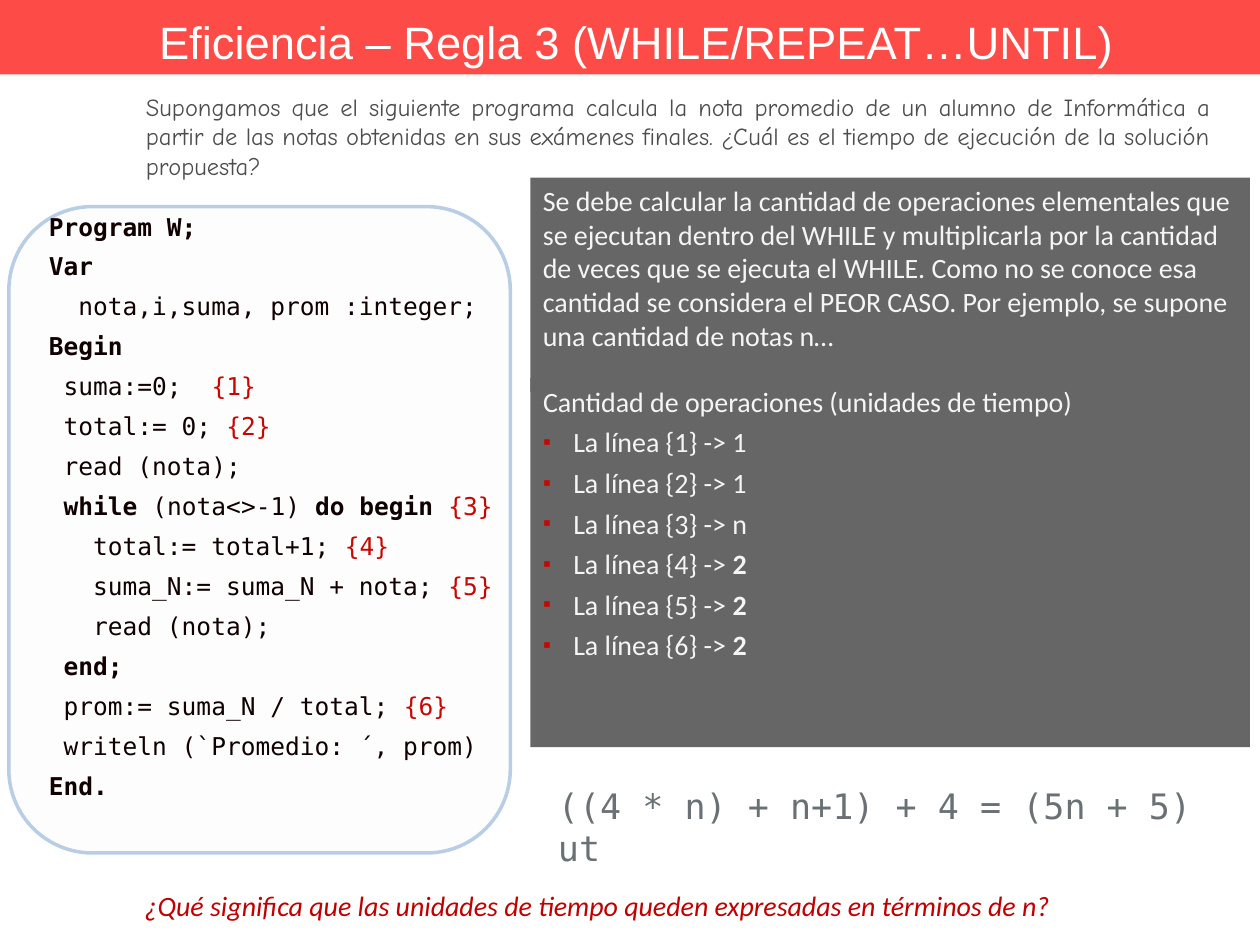
from pptx import Presentation
from pptx.dml.color import RGBColor
from pptx.enum.shapes import MSO_SHAPE as Shape
from pptx.enum.text import MSO_ANCHOR as Anchor, PP_ALIGN as Align
from pptx.util import Inches, Pt
from pptx.oxml.ns import qn
from lxml.etree import SubElement

# Content
TITLE = "Eficiencia – Regla 3 (WHILE/REPEAT…UNTIL)"
QUESTION = ("Supongamos que el siguiente programa calcula la nota promedio de un alumno "
            "de Informática a partir de las notas obtenidas en sus exámenes finales. "
            "¿Cuál es el tiempo de ejecución de la solución propuesta?")
EXPLANATION = ("Se debe calcular la cantidad de operaciones elementales que se ejecutan "
               "dentro del WHILE y multiplicarla por la cantidad de veces que se ejecuta "
               "el WHILE. Como no se conoce esa cantidad se considera el PEOR CASO. "
               "Por ejemplo, se supone una cantidad de notas n…")
COUNT_HEADING = "Cantidad de operaciones (unidades de tiempo)"
LINE_COSTS = ["1", "1", "n", "2", "2", "2"]
BOLD_COST = "2"
FORMULA = "((4 * n) + n+1) + 4 = (5n + 5) ut"
CLOSING = "¿Qué significa que las unidades de tiempo queden expresadas en términos de n?"

# Each code line is a list of (text, kind)
KEYWORD, PLAIN, MARK = "keyword", "plain", "mark"
CODE = [
    [("Program W;", KEYWORD)],
    [("Var", KEYWORD)],
    [("  nota,i,suma, prom :integer;", PLAIN)],
    [("Begin", KEYWORD)],
    [(" suma:=0;  ", PLAIN), ("{1}", MARK)],
    [(" total:= 0; ", PLAIN), ("{2}", MARK)],
    [(" read (nota);", PLAIN)],
    [(" while ", KEYWORD), ("(nota<>-1) ", PLAIN), ("do begin ", KEYWORD), ("{3}", MARK)],
    [("   total:= total+1; ", PLAIN), ("{4}", MARK)],
    [("   suma_N:= suma_N + nota; ", PLAIN), ("{5}", MARK)],
    [("   read (nota);", PLAIN)],
    [(" end;", KEYWORD)],
    [(" prom:= suma_N / total; ", PLAIN), ("{6}", MARK)],
    [(" writeln (`Promedio: ´, prom)", PLAIN)],
    [("End.", KEYWORD)],
]

# Style
SANS, MONO = "Calibri", "DejaVu Sans Mono"
RED, GREY, PALE, INK = "C60702", "666666", "F5F5F5", "100000"
PANEL_LEFT, PANEL_WIDTH = 4.21, 5.71


def color(value):
    return RGBColor.from_string(value)


def place(shape, left, top, width, height):
    shape.left, shape.top = Inches(left), Inches(top)
    shape.width, shape.height = Inches(width), Inches(height)


def paint(shape, fill):
    shape.fill.solid()
    shape.fill.fore_color.rgb = color(fill)


def add_panel(page, kind, at, fill, line=None):
    panel = page.shapes.add_shape(kind, *map(Inches, at))
    panel.shadow.inherit = False
    paint(panel, fill)
    if line:
        panel.line.color.rgb = color(line)
        panel.line.width = Pt(2)
    else:
        panel.line.fill.background()
    return panel


def add_text_box(page, at):
    box = page.shapes.add_textbox(*map(Inches, at))
    box.text_frame.word_wrap = True
    return box


def format_para(para, name, size, value, align=Align.LEFT, before=0, after=0):
    para.alignment = align
    para.space_before, para.space_after = Pt(before), Pt(after)
    para.font.name, para.font.size = name, Pt(size)
    para.font.color.rgb = color(value)


def write(shape, text, *style, **spacing):
    para = shape.text_frame.paragraphs[0]
    para.text = text
    format_para(para, *style, **spacing)
    return para


def add_span(para, text, bold=None):
    span = para.add_run()
    span.text = text
    span.font.bold = bold
    return span


def set_bullet(para, indent, char=None):
    props = para._p.get_or_add_pPr()
    props.set("marL", str(Inches(indent)))
    props.set("indent", str(-Inches(indent)))
    if char is None:
        SubElement(props, qn("a:buNone"))
        return
    tint = SubElement(props, qn("a:buClr"))
    SubElement(tint, qn("a:srgbClr"), val=RED)
    SubElement(props, qn("a:buSzPct"), val="80000")
    SubElement(props, qn("a:buChar"), char=char)


deck = Presentation()
deck.slide_width, deck.slide_height = Inches(10), Inches(7.5)
page = deck.slides.add_slide(deck.slide_layouts[1])

# Title band
title = page.shapes.title
place(title, 0, 0, 10, 0.59)
paint(title, "FD4B47")
title.text_frame.vertical_anchor = Anchor.MIDDLE
title.text_frame.margin_left = Inches(0.2)
para = write(title, TITLE, "Arial", 25.9, "FFFFFF", Align.CENTER)
para.line_spacing = 1.15

# Operation count list
counts = page.placeholders[1]
place(counts, PANEL_LEFT, 3, PANEL_WIDTH, 2.93)
paint(counts, GREY)
frame = counts.text_frame
frame.paragraphs[0].text = COUNT_HEADING
set_bullet(frame.paragraphs[0], 0)
format_para(frame.paragraphs[0], SANS, 16, PALE)
for number, cost in enumerate(LINE_COSTS, 1):
    para = frame.add_paragraph()
    add_span(para, f"La línea {{{number}}} -> ")
    add_span(para, cost, bold=cost == BOLD_COST)
    set_bullet(para, 0.24, "▪")
    format_para(para, SANS, 16, PALE, before=4)

# Program listing
add_panel(page, Shape.ROUNDED_RECTANGLE, (0.07, 1.64, 3.98, 5.13), "FDFDFD", "B9CDE5")
listing = add_text_box(page, (0.29, 1.63, 3.83, 4.77)).text_frame
for index, line in enumerate(CODE):
    para = listing.add_paragraph() if index else listing.paragraphs[0]
    format_para(para, MONO, 14, INK, Align.JUSTIFY, after=6)
    for text, kind in line:
        span = add_span(para, text, bold=kind == KEYWORD)
        if kind == MARK:
            span.font.color.rgb = color(RED)

# Question and explanation
write(add_text_box(page, (1.06, 0.68, 8.65, 0.8)), QUESTION,
      "Comic Neue", 14, "4D4D4D", Align.JUSTIFY)
explanation = add_panel(page, Shape.RECTANGLE, (PANEL_LEFT, 1.41, PANEL_WIDTH, 1.7), GREY)
explanation.text_frame.word_wrap = True
explanation.text_frame.vertical_anchor = Anchor.TOP
write(explanation, EXPLANATION, SANS, 16, PALE)

# Result and closing question
write(add_text_box(page, (4.33, 6.18, 5.59, 0.77)), FORMULA, MONO, 20, "6A7174")
closing = write(add_text_box(page, (1.05, 7, 7.57, 0.64)), CLOSING, SANS, 16, "C00000")
closing.font.italic = True

deck.save("out.pptx")
